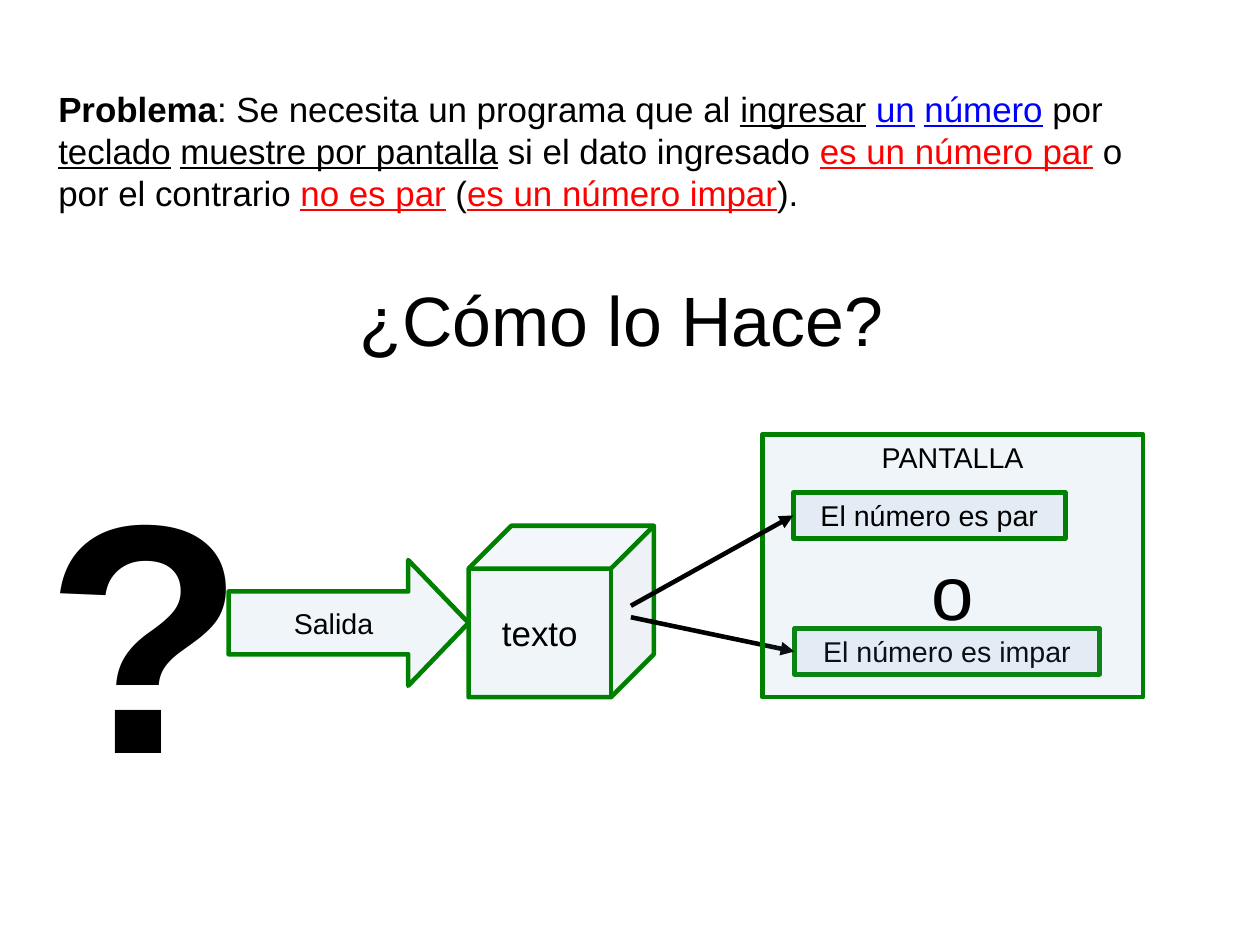
import pptx
import pptx.util
import pptx.dml.color
import pptx.enum.shapes
import pptx.enum.text
import pptx.oxml

WIDE, HIGH = 28, 21  # slide size in centimetres
CELL = 0.1  # inches per grid cell
COLORS = {"ink": "000000", "data": "0000FF", "result": "FF0000",
          "fill": "729FCF", "edge": "008000"}
FONT = "Arial"
STROKE = 2.89

Pt = pptx.util.Pt
SHAPE = pptx.enum.shapes.MSO_SHAPE
ALIGN = pptx.enum.text.PP_ALIGN
ANCHOR = pptx.enum.text.MSO_ANCHOR


def grid(cells):
    return pptx.util.Inches(cells * CELL)


def inside(box, x, y, w, h):
    return box[0] + x, box[1] + y, w, h


def color(name):
    return pptx.dml.color.RGBColor.from_string(COLORS[name])


def element(tag, attrs=""):
    return pptx.oxml.parse_xml(
        '<a:%s xmlns:a="http://schemas.openxmlformats.org/drawingml/2006/main" %s/>'
        % (tag, attrs))


def style(run, size, tone="ink", bold=False, under=False):
    font = run.font
    font.name, font.size = FONT, Pt(size)
    font.bold, font.underline = bold, under
    font.color.rgb = color(tone)


def setup(frame, pad=(0.1, 0.05), wrap=False, anchor=ANCHOR.MIDDLE):
    frame.margin_left = frame.margin_right = pptx.util.Inches(pad[0])
    frame.margin_top = frame.margin_bottom = pptx.util.Inches(pad[1])
    frame.word_wrap, frame.vertical_anchor = wrap, anchor


def write(par, text, size, align=ALIGN.CENTER, bold=False):
    par.text, par.alignment = text, align
    style(par.runs[0], size, bold=bold)


def move(holder, box):
    holder.left, holder.top, holder.width, holder.height = map(grid, box)
    setup(holder.text_frame, (0, 0), True)


def block(slide, kind, box, text, size=18, anchor=ANCHOR.MIDDLE):
    shape = slide.shapes.add_shape(kind, *map(grid, box))
    shape.shadow.inherit = False
    shape.fill.solid()
    shape.fill.fore_color.rgb = color("fill")
    tint = shape.fill._xPr.find(".//" + pptx.oxml.ns.qn("a:srgbClr"))
    tint.append(element("alpha", 'val="10000"'))
    shape.line.color.rgb = color("edge")
    shape.line.width = Pt(STROKE)
    setup(shape.text_frame, anchor=anchor)
    write(shape.text_frame.paragraphs[0], text, size)
    return shape


def link(slide, box, start, target):
    x, y = box[0] + start[0], box[1] + start[1]
    line = slide.shapes.add_connector(
        pptx.enum.shapes.MSO_CONNECTOR.STRAIGHT, grid(x), grid(y), grid(x), grid(y))
    line.end_x = target.left
    line.end_y = target.top + target.height // 2
    line.line.color.rgb = color("ink")
    line.line.width = Pt(STROKE)
    line.line._get_or_add_ln().append(element("tailEnd", 'type="triangle"'))
    line._element.spPr.append(element("effectLst"))


# Heading
def head(slide, box):
    move(slide.shapes.title, box)
    write(slide.shapes.title.text_frame.paragraphs[0], "¿Cómo lo Hace?", 44)


# Problem statement: each part is text, colour, underline
def task(slide, box):
    holder = slide.placeholders[1]
    move(holder, box)
    par = holder.text_frame.paragraphs[0]
    par.alignment, par.space_before = ALIGN.LEFT, Pt(0)
    parts = [
        ("Problema", "ink", False), (": Se necesita un programa que al ", "ink", False),
        ("ingresar", "ink", True), (" ", "ink", False),
        ("un", "data", True), (" ", "ink", False),
        ("número", "data", True), (" por ", "ink", False),
        ("teclado", "ink", True), (" ", "ink", False),
        ("muestre por pantalla", "ink", True), (" si el dato ingresado ", "ink", False),
        ("es un número par", "result", True), (" o por el contrario ", "ink", False),
        ("no es par", "result", True), (" (", "ink", False),
        ("es un número impar", "result", True), (").", "ink", False)]
    for text, tone, under in parts:
        run = par.add_run()
        run.text = text
        style(run, 22, tone, text == "Problema", under)


# Flow from the output arrow to the messages on the screen
def flow(slide, box):
    arrow = block(slide, SHAPE.RIGHT_ARROW, inside(box, 0, 11, 21, 11), "Salida")
    arrow.adjustments[0], arrow.adjustments[1] = 0.5, 0.48
    block(slide, SHAPE.CUBE, inside(box, 21, 8, 16.2, 15), "texto", 22)

    odd = block(slide, SHAPE.RECTANGLE, inside(box, 49.5, 17, 26.7, 4),
                "El número es impar")
    link(slide, box, (35.2, 16), odd)

    screen = block(slide, SHAPE.RECTANGLE, inside(box, 46.7, 0, 33.3, 23),
                   "PANTALLA", anchor=ANCHOR.TOP)
    choice = screen.text_frame.add_paragraph()
    write(choice, "o", 48)
    choice.space_before = Pt(44)

    even = block(slide, SHAPE.RECTANGLE, inside(box, 49.4, 5.1, 23.8, 4),
                 "El número es par")
    link(slide, box, (35.2, 15), even)


# Large question mark
def mark(slide, box):
    frame = slide.shapes.add_textbox(*map(grid, box)).text_frame
    setup(frame)
    write(frame.paragraphs[0], "?", 205.9, ALIGN.LEFT, True)


def main():
    deck = pptx.Presentation()
    deck.slide_width, deck.slide_height = map(pptx.util.Cm, (WIDE, HIGH))
    slide = deck.slides.add_slide(deck.slide_layouts[0])
    head(slide, (4.8, 21, 99.2, 13.8))
    task(slide, (5.1, 7, 95.5, 12.3))
    flow(slide, (20, 38, 80, 23))
    mark(slide, (3, 38, 19.4, 32.9))
    deck.save("out.pptx")


if __name__ == "__main__":
    main()
